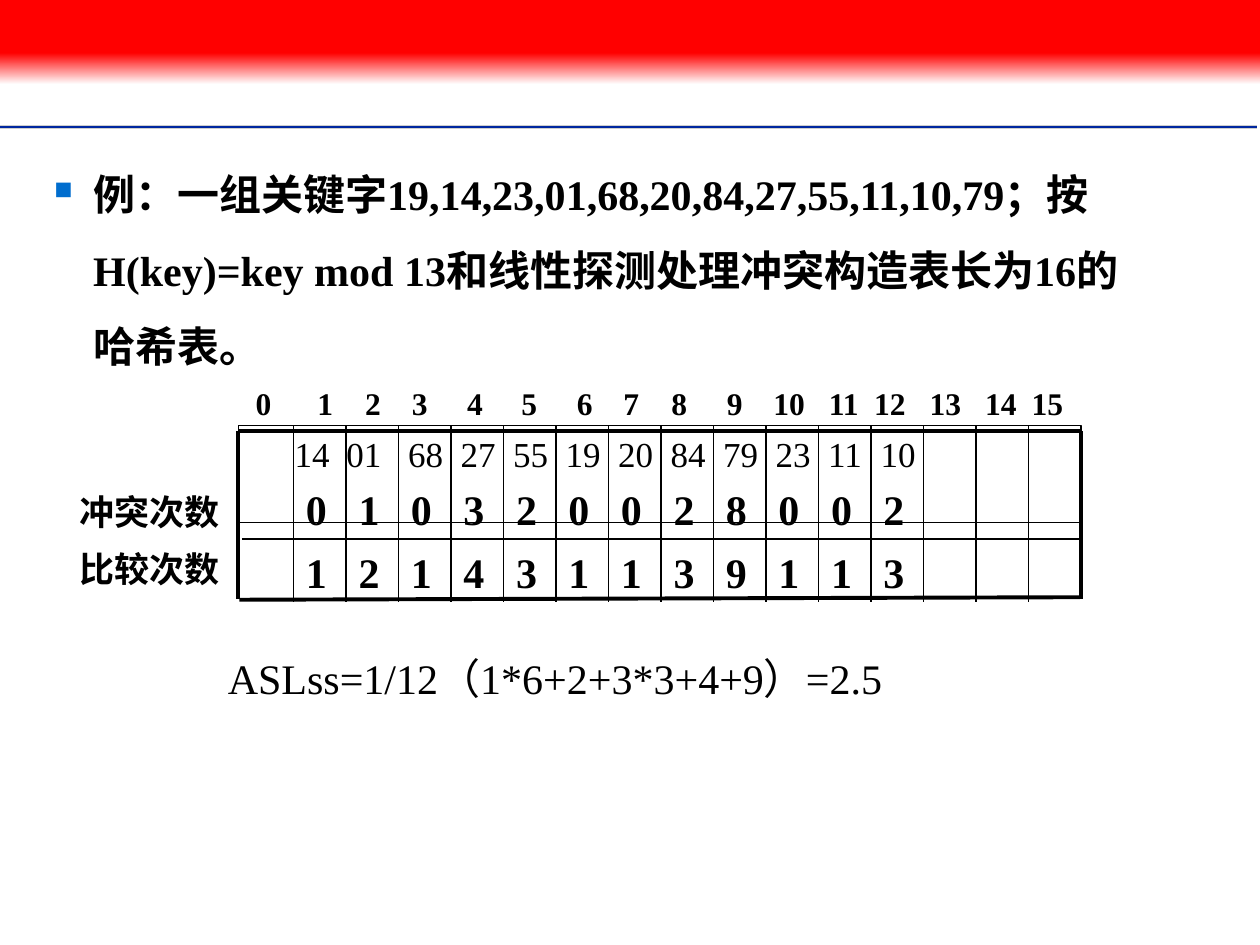
"""Build a slide working through a hash table with linear probing."""
import lxml.etree
import pptx
import pptx.dml.color
import pptx.enum.shapes
import pptx.enum.text
import pptx.oxml.ns
import pptx.util

Inches = pptx.util.Inches
Pt = pptx.util.Pt
RGB = pptx.dml.color.RGBColor.from_string
qn = pptx.oxml.ns.qn
RECT = pptx.enum.shapes.MSO_SHAPE.RECTANGLE
LINE = pptx.enum.shapes.MSO_CONNECTOR.STRAIGHT
COLORS = {"ink": "000000", "red": "FF0000", "white": "FFFFFF",
          "gray": "CECECE", "navy": "00279F", "blue": "006DCE"}
SERIF = "Times New Roman"

deck = pptx.Presentation()
deck.slide_width, deck.slide_height = Inches(10), Inches(7.5)
slide = deck.slides.add_slide(deck.slide_layouts[6])
shapes = slide.shapes


def rule(x1, y1, x2, y2, width, color="ink"):
    line = shapes.add_connector(LINE, Inches(x1), Inches(y1), Inches(x2), Inches(y2))
    line.line.width = Pt(width)
    line.line.fill.solid()
    line.line.color.rgb = RGB(COLORS[color])
    lxml.etree.SubElement(line._element.spPr, qn("a:effectLst"))


def write(shape, text, font, layout=None, stops=(), inset=(0.1, 0.05)):
    frame = shape.text_frame
    side, edge = map(Inches, inset)
    box = {"word_wrap": True, "margin_left": side, "margin_right": side,
           "margin_top": edge, "margin_bottom": edge,
           "vertical_anchor": pptx.enum.text.MSO_ANCHOR.TOP}
    for name, value in box.items():
        setattr(frame, name, value)
    para = frame.paragraphs[0]
    props = para._p.get_or_add_pPr()
    if stops:
        tabs = lxml.etree.SubElement(props, qn("a:tabLst"))
        for stop in stops:
            lxml.etree.SubElement(tabs, qn("a:tab"), pos=str(Inches(stop)), algn="l")
    para.alignment = pptx.enum.text.PP_ALIGN.LEFT
    for name, value in (layout or {}).items():
        setattr(para, name, value)
    run = para.add_run()
    run.text = text
    for name, value in font.items():
        setattr(run.font, name, value)
    run.font.color.rgb = RGB(COLORS["ink"])
    return props


for y, width, color in [(1.01, 2, "gray"), (1.01, 1, "navy"), (1.03, 1, "white")]:
    rule(0, y, 9.98, y, width, color)

fade = shapes.add_shape(RECT, 0, Inches(0.42), Inches(10), Inches(0.25))
fade.fill.gradient()
fade.fill.gradient_angle = 270
for stop, color, place in zip(fade.fill.gradient_stops, ("red", "white"), (0, 1)):
    stop.color.rgb = RGB(COLORS[color])
    stop.position = place
band = shapes.add_shape(RECT, 0, 0, Inches(10), Inches(0.42))
band.fill.solid()
band.fill.fore_color.rgb = RGB(COLORS["red"])
for bar in (fade, band):
    bar.line.fill.background()
    bar.shadow.inherit = False

body = shapes.add_textbox(Inches(0.43), Inches(1.14), Inches(8.45), Inches(5.23))
props = write(
    body,
    "例：一组关键字19,14,23,01,68,20,84,27,55,11,10,79；"
    "按H(key)=key mod 13和线性探测处理冲突构造表长为16的哈希表。",
    {"size": Pt(24), "name": SERIF, "bold": True}, {"line_spacing": 1.5}, inset=(0, 0))
props.set("marL", str(Inches(0.31)))
props.set("indent", str(Inches(-0.31)))
tint = lxml.etree.SubElement(props, qn("a:buClr"))
lxml.etree.SubElement(tint, qn("a:srgbClr"), val=COLORS["blue"])
lxml.etree.SubElement(props, qn("a:buSzPct"), val="60000")
lxml.etree.SubElement(props, qn("a:buChar"), char="■")

step = 5 / 12
frame = shapes.add_shape(RECT, Inches(1.89), Inches(3.38), Inches(6.69), Inches(0.77))
frame.fill.background()
frame.line.width = Pt(0.75)
frame.line.color.rgb = RGB(COLORS["ink"])
frame.shadow.inherit = False
keys = ["14", "01", "68", "27", "55", "19", "20", "84", "79", "23", "11", "10"]
write(frame, "\t" + "\t".join(keys), {"size": Pt(20), "name": SERIF},
      stops=[0.35, 0.76] + [1.25 + step * i for i in range(10)])

head = shapes.add_textbox(Inches(1.93), Inches(3), Inches(6.74), Inches(0.4))
write(head, "\t".join(map(str, range(16))),
      {"size": Pt(18), "name": SERIF, "bold": True},
      stops=[0.49, 0.87, 1.24, 1.68, 2.11, 2.55, 2.92, 3.3,
             3.74, 4.11, 4.55, 4.91, 5.35, 5.79, 6.16])

for i in range(15):
    x = 2.33 + step * i
    rule(x, 3.38, x, 3.83, 0.75)
    rule(x, 3.83, x, 4.78, 1)

rows = [("冲突次数", 3.88, 3.83, "010320028002"),
        ("比较次数", 4.33, 4.33, "121431139113")]
for label, ytag, top, counts in rows:
    tag = shapes.add_textbox(Inches(0.53), Inches(ytag), Inches(1.5), Inches(0.42))
    write(tag, label, {"size": Pt(20), "name": "Arial", "bold": True},
          {"line_spacing": 0.9, "space_after": Pt(12.5)})
    for i, count in enumerate(counts):
        cell = shapes.add_textbox(Inches(2.33 + step * i), Inches(top),
                                  Inches(0.42), Inches(0.7))
        write(cell, count, {"size": Pt(24), "name": SERIF, "bold": True},
              {"line_spacing": 0.9, "space_after": Pt(15)})

rule(1.92, 4.28, 8.58, 4.28, 1)
rule(1.9, 4.76, 8.57, 4.74, 2.25)
rule(1.89, 3.42, 8.58, 3.42, 2.25)
for x in (1.89, 8.58):
    rule(x, 3.42, x, 4.75, 2.25)

mean = shapes.add_textbox(Inches(1.71), Inches(5.13), Inches(6.67), Inches(0.5))
write(mean, "ASLss=1/12（1*6+2+3*3+4+9）=2.5", {"size": Pt(24), "name": SERIF})

deck.save("out.pptx")
